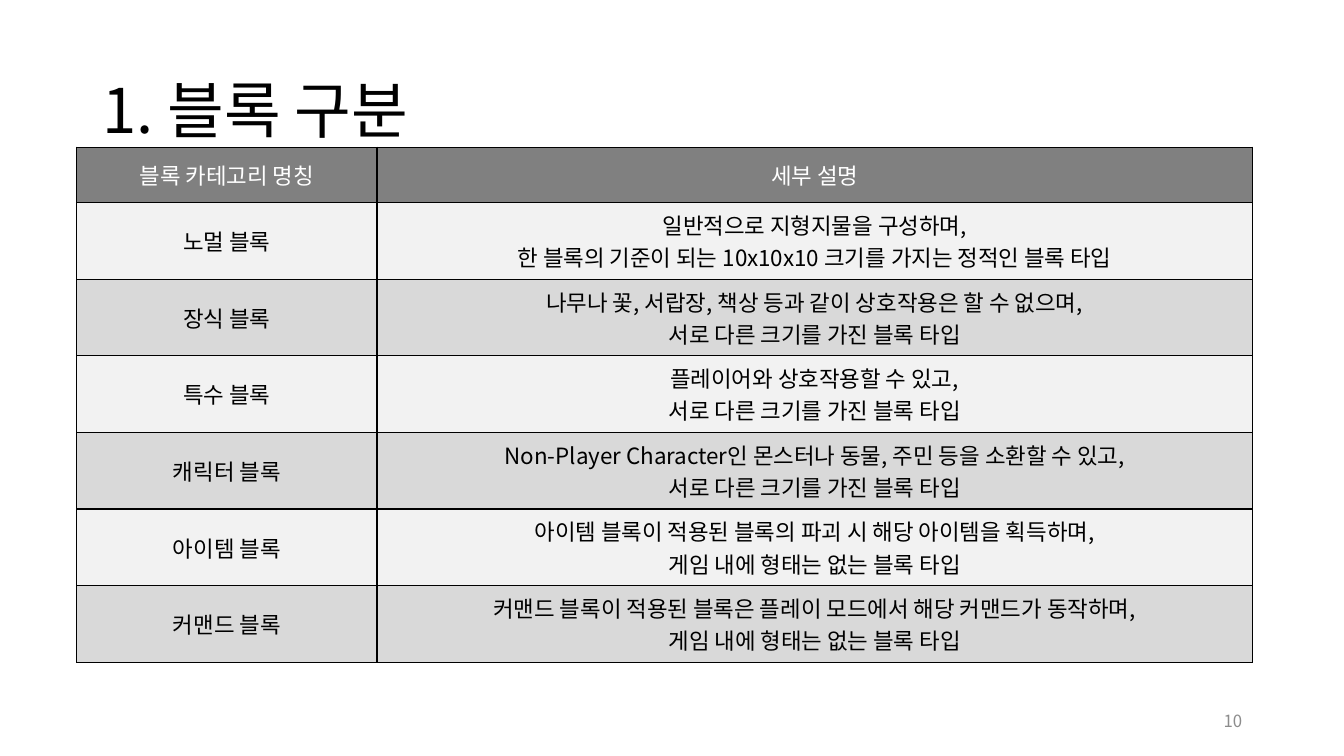
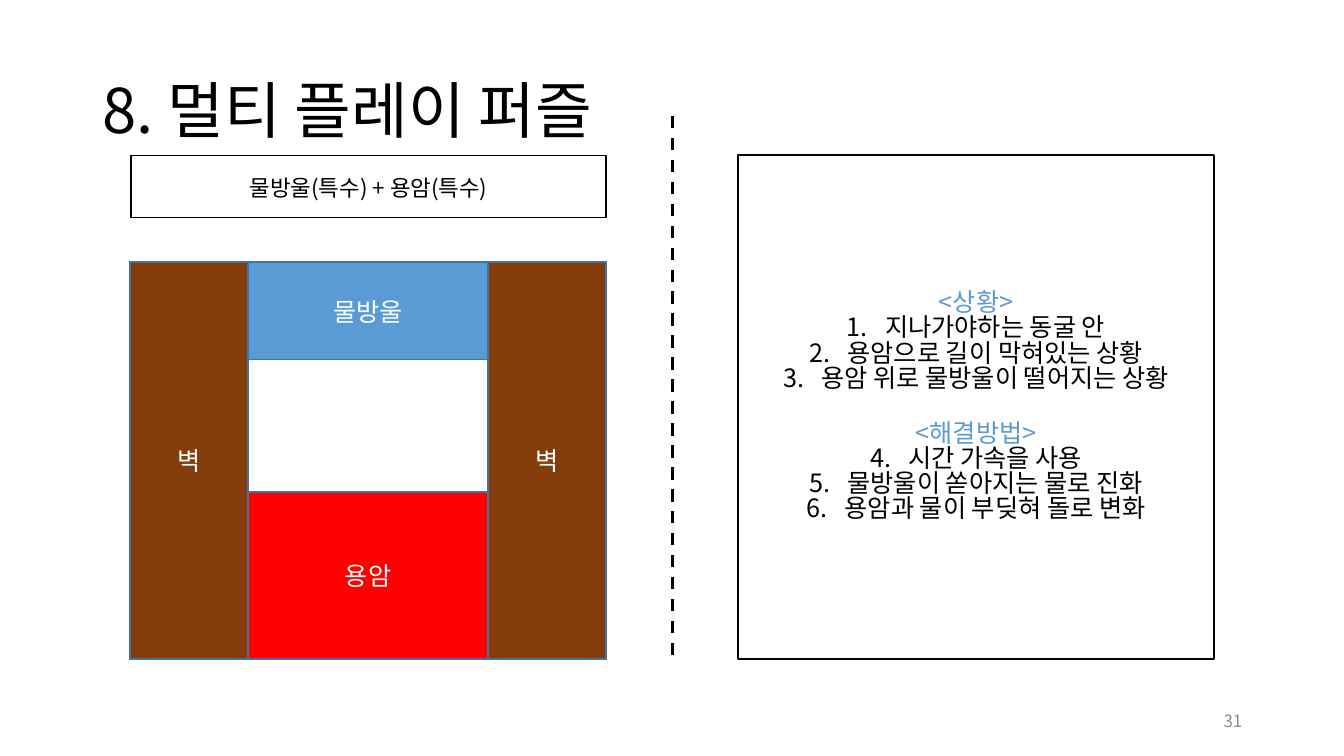
import lxml.etree
import pptx
import pptx.dml.color
import pptx.enum.dml
import pptx.enum.shapes
import pptx.enum.text
import pptx.oxml.ns
import pptx.util

Color = pptx.dml.color.RGBColor
Align = pptx.enum.text.PP_ALIGN
Anchor = pptx.enum.text.MSO_ANCHOR
Pt = pptx.util.Pt
qn = pptx.oxml.ns.qn

SCALE = 9144
FONT = "Noto Sans CJK KR"
BLACK = Color(0x00, 0x00, 0x00)
WHITE = Color(0xFF, 0xFF, 0xFF)
GRAY = Color(0x8C, 0x8C, 0x8C)
HEAD = Color(0x80, 0x80, 0x80)
LIGHT = Color(0xF2, 0xF2, 0xF2)
DARK = Color(0xD9, 0xD9, 0xD9)
BLUE = Color(0x5B, 0x9B, 0xD5)
NAVY = Color(0x43, 0x73, 0x9E)
RED = Color(0xFF, 0x00, 0x00)
BROWN = Color(0x84, 0x3C, 0x0B)

BLOCKS = [
    ("블록 카테고리 명칭", "세부 설명"),
    ("노멀 블록", "일반적으로 지형지물을 구성하며,\n"
     "한 블록의 기준이 되는 10x10x10 크기를 가지는 정적인 블록 타입"),
    ("장식 블록", "나무나 꽃, 서랍장, 책상 등과 같이 상호작용은 할 수 없으며,\n"
     "서로 다른 크기를 가진 블록 타입"),
    ("특수 블록", "플레이어와 상호작용할 수 있고,\n서로 다른 크기를 가진 블록 타입"),
    ("캐릭터 블록", "Non-Player Character인 몬스터나 동물, 주민 등을 소환할 수 있고,\n"
     "서로 다른 크기를 가진 블록 타입"),
    ("아이템 블록", "아이템 블록이 적용된 블록의 파괴 시 해당 아이템을 획득하며,\n"
     "게임 내에 형태는 없는 블록 타입"),
    ("커맨드 블록", "커맨드 블록이 적용된 블록은 플레이 모드에서 해당 커맨드가 동작하며,\n"
     "게임 내에 형태는 없는 블록 타입"),
]
NOTES = [
    "<상황>",
    "지나가야하는 동굴 안",
    "용암으로 길이 막혀있는 상황",
    "용암 위로 물방울이 떨어지는 상황",
    "<해결방법>",
    "시간 가속을 사용",
    "물방울이 쏟아지는 물로 진화",
    "용암과 물이 부딪혀 돌로 변화",
]


def px(*sizes):
    """Turn px lengths into EMU."""
    return [size * SCALE for size in sizes]


def style(frame, size, color, align=Align.CENTER):
    """Format all the text of a frame."""
    frame.word_wrap = True
    for para in frame.paragraphs:
        para.alignment = align
        for run in para.runs:
            run.font.size = Pt(size)
            run.font.name = FONT
            run.font.color.rgb = color
            face = lxml.etree.SubElement(run.font._element, qn("a:ea"))
            face.set("typeface", FONT)


def add_label(slide, box, text, size, color, align):
    """Add a text box centred on its height."""
    frame = slide.shapes.add_textbox(*px(*box)).text_frame
    frame.text = text
    frame.vertical_anchor = Anchor.MIDDLE
    style(frame, size, color, align)
    return frame


def add_page(deck, title, number):
    """Add a slide with its title and page number."""
    slide = deck.slides.add_slide(deck.slide_layouts[6])
    frame = add_label(slide, (92, 40, 1150, 145), title, 44, BLACK, Align.LEFT)
    frame.paragraphs[0].line_spacing = 0.9
    add_label(slide, (942, 695, 300, 40), str(number), 12, GRAY, Align.RIGHT)
    return slide


def add_edge(cell):
    """Draw thin black borders around a cell."""
    props = cell._tc.get_or_add_tcPr()
    for side in ("a:lnL", "a:lnR", "a:lnT", "a:lnB"):
        line = lxml.etree.SubElement(props, qn(side), w=str(Pt(1)))
        fill = lxml.etree.SubElement(line, qn("a:solidFill"))
        lxml.etree.SubElement(fill, qn("a:srgbClr"), val=str(BLACK))


def add_grid(slide, spot, widths, heights, rows, fills):
    """Add a bordered table with one fill per row."""
    area = px(*spot, sum(widths), sum(heights))
    table = slide.shapes.add_table(len(rows), len(widths), *area).table
    table.first_row = table.horz_banding = False
    for col, width in zip(table.columns, px(*widths)):
        col.width = width
    for row, height, texts, fill in zip(table.rows, px(*heights), rows, fills):
        row.height = height
        for cell, text in zip(row.cells, texts):
            cell.text = text
            cell.vertical_anchor = Anchor.MIDDLE
            style(cell.text_frame, 16, WHITE if fill == HEAD else BLACK)
            add_edge(cell)
            cell.fill.solid()
            cell.fill.fore_color.rgb = fill


def add_box(slide, box, text="", fill=None, edge=BLACK, width=1.5):
    """Add a rectangle with centred text."""
    kind = pptx.enum.shapes.MSO_SHAPE.RECTANGLE
    shape = slide.shapes.add_shape(kind, *px(*box))
    shape.shadow.inherit = False
    shape.line.color.rgb = edge
    shape.line.width = Pt(width)
    if fill is None:
        shape.fill.background()
    else:
        shape.fill.solid()
        shape.fill.fore_color.rgb = fill
    frame = shape.text_frame
    frame.text = text
    frame.vertical_anchor = Anchor.MIDDLE
    style(frame, 18, BLACK if fill is None else WHITE)
    return frame


def add_notes(slide, box, lines):
    """Add a frame of blue headings and numbered lines."""
    frame = add_box(slide, box, "\n".join(lines))
    for rank, para in enumerate(frame.paragraphs):
        para.line_spacing = 0.83
        if para.text.startswith("<"):
            para.runs[0].font.color.rgb = BLUE
            para.space_before = Pt(21.6 if rank else 0)
            continue
        props = para._p.get_or_add_pPr()
        indent, = px(38)
        props.set("marL", str(indent))
        props.set("indent", str(-indent))
        lxml.etree.SubElement(props, qn("a:buFont"), typeface="+mj-lt")
        lxml.etree.SubElement(props, qn("a:buAutoNum"), type="arabicPeriod")


def add_split(slide, left, top, end):
    """Add a dashed upright line."""
    kind = pptx.enum.shapes.MSO_CONNECTOR.STRAIGHT
    line = slide.shapes.add_connector(kind, *px(left, top, left, end))
    line.line.color.rgb = BLACK
    line.line.width = Pt(2.25)
    line.line.dash_style = pptx.enum.dml.MSO_LINE.DASH
    lxml.etree.SubElement(line._element.spPr, qn("a:effectLst"))


def add_cave(slide, left, top, height):
    """Draw the cave with its walls, water and lava."""
    wall, gap, drop, lava = 117, 238, 97, 166
    inner = left + wall
    add_box(slide, (left, top, 2 * wall + gap, height))
    parts = [
        ((inner, top + height - lava, gap, lava), "용암", RED),
        ((inner, top, gap, drop), "물방울", BLUE),
        ((left, top, wall, height), "벽", BROWN),
        ((inner + gap, top, wall, height), "벽", BROWN),
    ]
    for box, text, fill in parts:
        add_box(slide, box, text, fill, NAVY, 1)


def main():
    """Build and save the deck."""
    deck = pptx.Presentation()
    deck.slide_width, deck.slide_height = px(1333, 750)

    page = add_page(deck, "1. 블록 구분", 10)
    fills = [HEAD] + [LIGHT, DARK] * 3
    add_grid(page, (76, 146), (298, 868), [55] + [76] * 6, BLOCKS, fills)

    page = add_page(deck, "8. 멀티 플레이 퍼즐", 31)
    add_split(page, 667, 115, 654)
    add_grid(page, (130, 154), [471], [62], [["물방울(특수) + 용암(특수)"]], [WHITE])
    add_cave(page, 129, 260, 394)
    add_notes(page, (732, 154, 472, 500), NOTES)

    deck.save("out.pptx")


if __name__ == "__main__":
    main()
